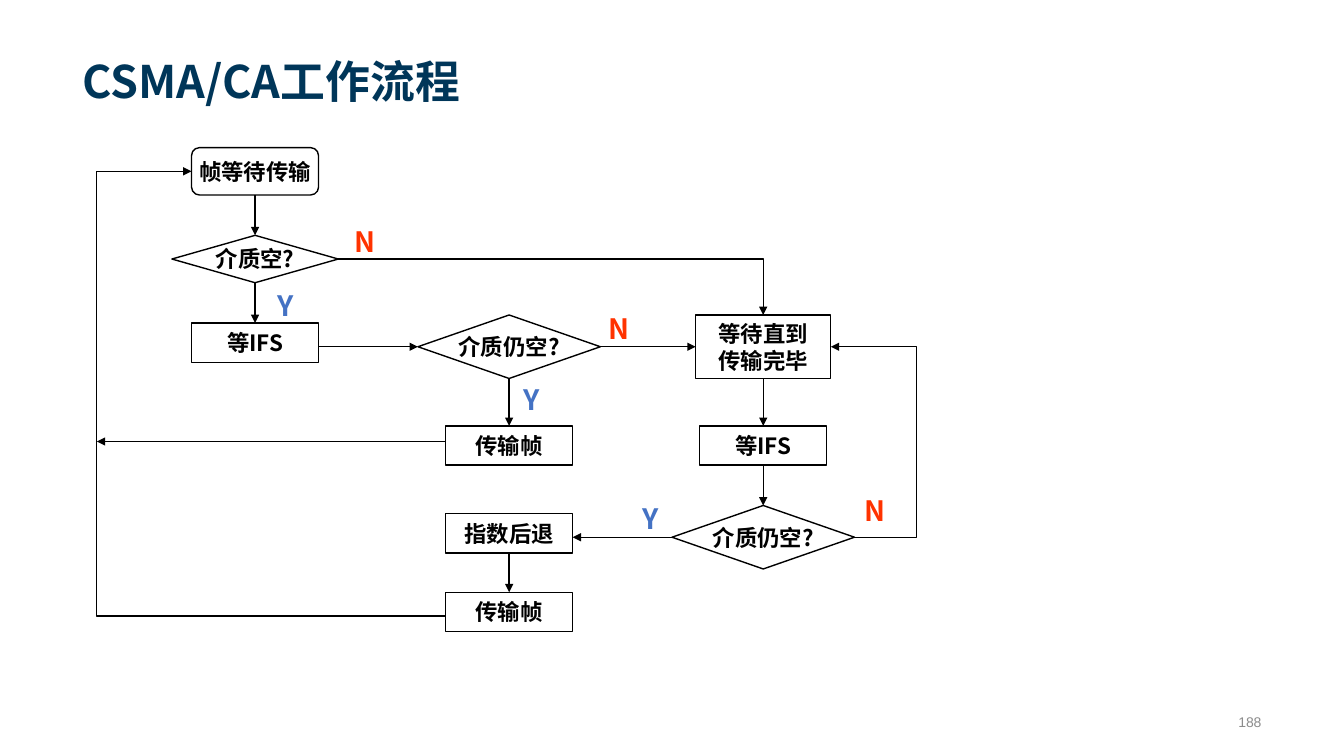
from lxml import etree
from pptx import Presentation
from pptx.dml.color import RGBColor
from pptx.enum import shapes, text
from pptx.oxml.ns import qn
from pptx.util import Inches, Pt

NAVY = RGBColor(0x00, 0x36, 0x59)
BLACK = RGBColor(0x00, 0x00, 0x00)
GRAY = RGBColor(0x8C, 0x8C, 0x8C)
BLUE = RGBColor(0x44, 0x72, 0xC4)
RED = RGBColor(0xFF, 0x33, 0x00)
CJK = "Noto Sans CJK SC"

TITLE = "CSMA/CA工作流程"
PAGE = "188"

# Flowchart grid, in inches: three equal columns and a return lane on each side
COLUMNS = [2.53 + 2.52 * i for i in range(3)]
LEFT_LANE, RIGHT_LANE = 0.96, 9.09

KINDS = {  # shape, width, height
    "start": (shapes.MSO_SHAPE.ROUNDED_RECTANGLE, 1.26, 0.47),
    "check": (shapes.MSO_SHAPE.DIAMOND, 1.65, 0.47),
    "recheck": (shapes.MSO_SHAPE.DIAMOND, 1.81, 0.63),
    "step": (shapes.MSO_SHAPE.RECTANGLE, 1.26, 0.39),
    "wait": (shapes.MSO_SHAPE.RECTANGLE, 1.34, 0.63),
}
NODES = {  # kind, column, centre y, lines
    "frame": ("start", 0, 1.7, ["帧等待传输"]),
    "idle": ("check", 0, 2.57, ["介质空?"]),
    "ifs": ("step", 0, 3.4, ["等IFS"]),
    "still idle": ("recheck", 1, 3.44, ["介质仍空?"]),
    "send": ("step", 1, 4.42, ["传输帧"]),
    "backoff": ("step", 1, 5.29, ["指数后退"]),
    "resend": ("step", 1, 6.07, ["传输帧"]),
    "wait": ("wait", 2, 3.44, ["等待直到", "传输完毕"]),
    "ifs again": ("step", 2, 4.42, ["等IFS"]),
    "idle again": ("recheck", 2, 5.33, ["介质仍空?"]),
}
DOWN_LINKS = [
    ("frame", "idle"), ("idle", "ifs"), ("still idle", "send"),
    ("wait", "ifs again"), ("ifs again", "idle again"), ("backoff", "resend"),
]
ANSWERS = [  # letter, centre x, top
    ("Y", 2.83, 2.81), ("N", 3.62, 2.18), ("N", 6.14, 3.04),
    ("Y", 5.27, 3.75), ("Y", 6.45, 4.93), ("N", 8.68, 4.85),
]
ANSWER_STYLE = {"Y": (BLUE, 0.38), "N": (RED, 0.44)}


def edges(name):
    """Left, top, right and bottom of a node."""
    kind, col, y, _ = NODES[name]
    _, w, h = KINDS[kind]
    x = COLUMNS[col]
    return x - w / 2, y - h / 2, x + w / 2, y + h / 2


def style(p, size, color, font=CJK, bold=True, align=text.PP_ALIGN.CENTER):
    p.alignment = align
    p.font.size, p.font.bold, p.font.name = Pt(size), bold, font
    p.font.color.rgb = color
    props = p._p.pPr.find(qn("a:defRPr"))
    etree.SubElement(props, qn("a:ea"), typeface=font)


def add_label(slide, words, x, y, w, h, size, color, wrap=False, **kw):
    tf = slide.shapes.add_textbox(*map(Inches, (x, y, w, h))).text_frame
    tf.word_wrap = wrap
    tf.text = words
    style(tf.paragraphs[0], size, color, **kw)
    return tf


def add_node(slide, name):
    kind, _, _, lines = NODES[name]
    left, top, right, bottom = edges(name)
    sp = slide.shapes.add_shape(
        KINDS[kind][0], *map(Inches, (left, top, right - left, bottom - top)))
    sp.shadow.inherit = False
    sp.fill.background()
    sp.line.color.rgb, sp.line.width = BLACK, Pt(1)
    tf = sp.text_frame
    tf.word_wrap = False
    tf.vertical_anchor = text.MSO_ANCHOR.MIDDLE
    tf.text = "\n".join(lines)
    for p in tf.paragraphs:
        style(p, 16, BLACK)


def add_arrow(slide, *points):
    """Line through the points, with an arrowhead at the last one."""
    pts = [(Inches(x), Inches(y)) for x, y in points]
    if len(pts) == 2:
        sp = slide.shapes.add_connector(
            shapes.MSO_CONNECTOR.STRAIGHT, *pts[0], *pts[1])
        etree.SubElement(sp._element.spPr, qn("a:effectLst"))
    else:
        builder = slide.shapes.build_freeform(*pts[0])
        builder.add_line_segments(pts[1:], close=False)
        sp = builder.convert_to_shape()
        sp.shadow.inherit = False
        sp.fill.background()
    sp.line.color.rgb, sp.line.width = BLACK, Pt(1)
    etree.SubElement(sp.line._get_or_add_ln(), qn("a:tailEnd"), type="triangle")


def add_arrows(slide):
    for upper, lower in DOWN_LINKS:
        x = COLUMNS[NODES[upper][1]]
        add_arrow(slide, (x, edges(upper)[3]), (x, edges(lower)[1]))

    frame, idle, wait = edges("frame"), edges("idle"), edges("wait")
    check, recheck = edges("still idle"), edges("idle again")
    frame_y, idle_y = NODES["frame"][2], NODES["idle"][2]
    check_y, recheck_y = NODES["still idle"][2], NODES["idle again"][2]
    step_left, step_right = edges("send")[0], edges("send")[2]

    add_arrow(slide, (edges("ifs")[2], check_y), (check[0], check_y))
    add_arrow(slide, (check[2], check_y), (wait[0], check_y))
    add_arrow(slide, (recheck[0], recheck_y), (step_right, recheck_y))
    add_arrow(slide, (step_left, 4.38), (LEFT_LANE, 4.38))
    add_arrow(slide, (idle[2], idle_y), (COLUMNS[2], idle_y), (COLUMNS[2], wait[1]))
    add_arrow(slide, (recheck[2], recheck_y), (RIGHT_LANE, recheck_y),
              (RIGHT_LANE, check_y), (wait[2], check_y))
    add_arrow(slide, (step_left, 6.11), (LEFT_LANE, 6.11),
              (LEFT_LANE, frame_y), (frame[0], frame_y))


def main():
    prs = Presentation()
    prs.slide_width, prs.slide_height = Inches(13.33), Inches(7.5)
    slide = prs.slides.add_slide(prs.slide_layouts[5])

    title = slide.shapes.title
    title.left, title.top, title.width, title.height = map(
        Inches, (0.72, 0.14, 11.88, 0.98))
    tf = title.text_frame
    tf.text = TITLE
    tf.auto_size = text.MSO_AUTO_SIZE.NONE
    tf.vertical_anchor = text.MSO_ANCHOR.BOTTOM
    style(tf.paragraphs[0], 32, NAVY, align=text.PP_ALIGN.LEFT)

    page = add_label(slide, PAGE, 11.73, 7.01, 0.88, 0.3, 10, GRAY, wrap=True,
                     font="Arial", bold=False, align=text.PP_ALIGN.RIGHT)
    page.vertical_anchor = text.MSO_ANCHOR.MIDDLE

    for name in NODES:
        add_node(slide, name)
    add_arrows(slide)
    for letter, x, top in ANSWERS:
        color, w = ANSWER_STYLE[letter]
        add_label(slide, letter, x - w / 2, top, w, 0.44, 20, color)

    prs.save("out.pptx")


if __name__ == "__main__":
    main()
